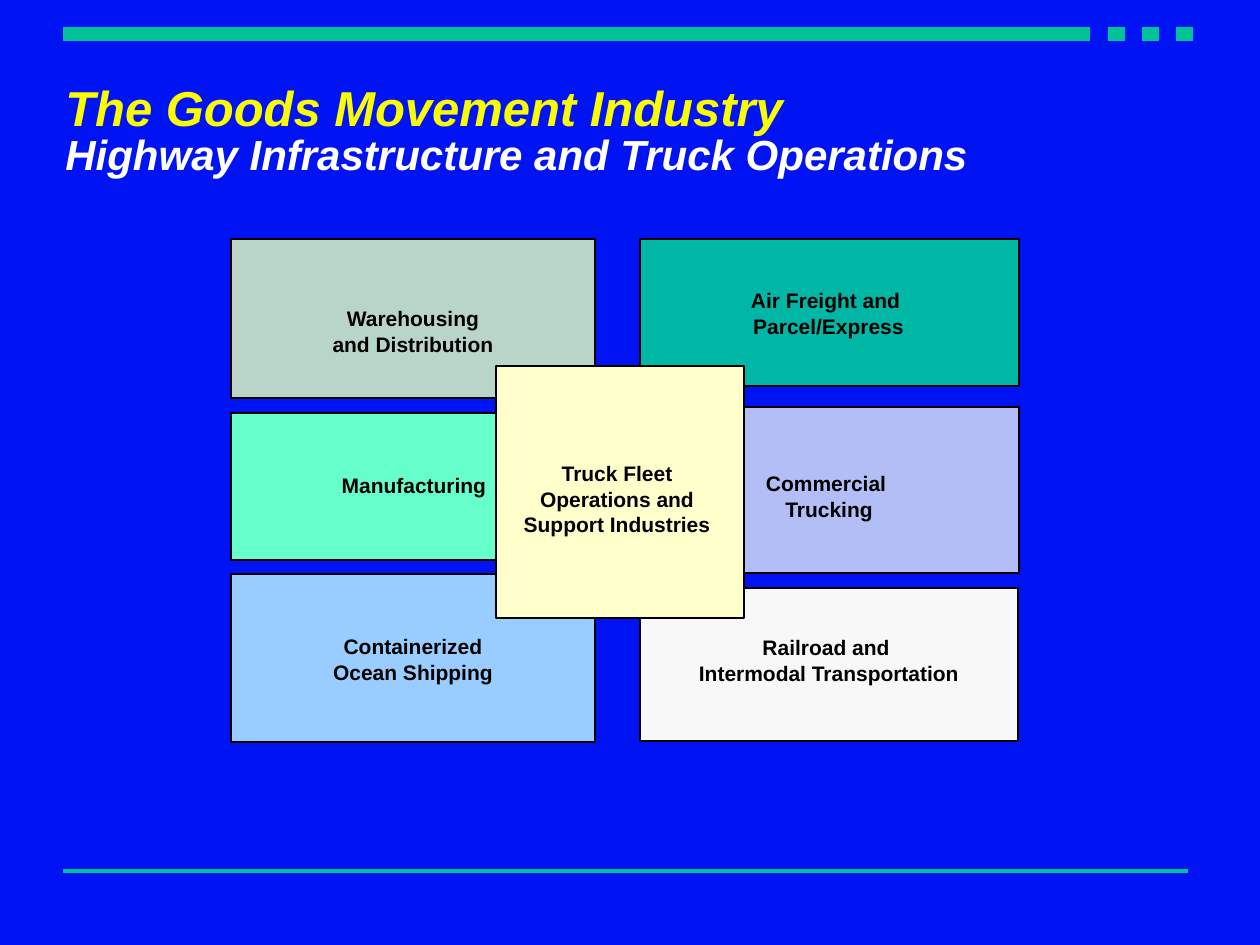
"""Build the goods movement industry slide."""
from dataclasses import dataclass

from pptx import Presentation
from pptx.dml.color import RGBColor
from pptx.enum.shapes import MSO_CONNECTOR, MSO_SHAPE
from pptx.enum.text import MSO_ANCHOR, MSO_AUTO_SIZE, PP_ALIGN
from pptx.oxml.xmlchemy import OxmlElement
from pptx.util import Emu, Pt

STRAIGHT = MSO_CONNECTOR.STRAIGHT
RECTANGLE = MSO_SHAPE.RECTANGLE
MIDDLE = MSO_ANCHOR.MIDDLE
FIT_SHAPE = MSO_AUTO_SIZE.SHAPE_TO_FIT_TEXT
CENTER = PP_ALIGN.CENTER
EMU_PER_PX = 914400 / 126
FONT = "Arial"
LINE_HEIGHT = 25
COLORS = {
    "background": "0014F3", "rule": "00C297", "title": "FAFD00",
    "subtitle": "FFFFFF", "ink": "000000", "mint": "66FFCC",
    "sage": "B9D5C9", "teal": "00B7A5", "sky": "99CCFF",
    "white": "F8F8F8", "lavender": "B3BEF7", "cream": "FFFFCC",
}


@dataclass
class Rule:
    x1: int
    x2: int
    y: int
    weight: int


@dataclass
class Sector:
    x: int
    y: int
    w: int
    h: int
    color: str
    label: str
    label_x: int
    label_y: int
    label_w: int


RULES = [Rule(x, x + 17, 34, 8) for x in range(1108, 1177, 34)] + [
    Rule(63, 1090, 34, 8),
    Rule(63, 1188, 871, 2),
]
SECTORS = [
    Sector(231, 413, 364, 147, "mint", "Manufacturing", 336, 473, 156),
    Sector(231, 239, 364, 159, "sage", "Warehousing\nand Distribution", 327, 306, 172),
    Sector(640, 239, 379, 147, "teal", "Air Freight and \nParcel/Express", 743, 288, 171),
    Sector(231, 574, 364, 168, "sky", "Containerized\nOcean Shipping", 327, 634, 172),
    Sector(640, 588, 378, 153, "white", "Railroad and \nIntermodal Transportation", 692, 635, 274),
    Sector(640, 407, 379, 166, "lavender", "Commercial \nTrucking", 758, 471, 142),
    Sector(496, 366, 248, 252, "cream",
           "Truck Fleet \nOperations and \nSupport Industries ", 514, 461, 212),
]


def px(n: float) -> Emu:
    """Convert pixels to EMU."""
    return Emu(round(n * EMU_PER_PX))


def rgb(name: str) -> RGBColor:
    """Look up a named colour."""
    return RGBColor.from_string(COLORS[name])


def draw_rule(s, rule: Rule) -> None:
    """Draw a horizontal rule without a shadow."""
    y = px(rule.y)
    line = s.shapes.add_connector(STRAIGHT, px(rule.x1), y, px(rule.x2), y)
    line.line.color.rgb = rgb("rule")
    line.line.width = Pt(rule.weight)
    line._element.spPr.append(OxmlElement("a:effectLst"))


def draw_title(s) -> None:
    """Draw the two-line heading."""
    tf = s.shapes.add_textbox(px(53), px(79), px(1144), px(108)).text_frame
    tf.word_wrap = True
    tf.vertical_anchor = MIDDLE
    p = tf.paragraphs[0]
    p.line_spacing = 0.85
    p.font.name, p.font.bold, p.font.italic = FONT, True, True
    r = p.add_run()
    r.text = "The Goods Movement Industry"
    r.font.size, r.font.color.rgb = Pt(28), rgb("title")
    p.add_line_break()
    r = p.add_run()
    r.text = "Highway Infrastructure and Truck Operations"
    r.font.size, r.font.color.rgb = Pt(24), rgb("subtitle")


def draw_sector(s, sector: Sector) -> None:
    """Draw a sector box and its label."""
    sp = s.shapes.add_shape(RECTANGLE, px(sector.x), px(sector.y),
                            px(sector.w), px(sector.h))
    sp.shadow.inherit = False
    sp.fill.solid()
    sp.fill.fore_color.rgb = rgb(sector.color)
    sp.line.color.rgb = rgb("ink")
    sp.line.width = Pt(0.75)

    height = LINE_HEIGHT * len(sector.label.split("\n"))
    tf = s.shapes.add_textbox(px(sector.label_x), px(sector.label_y),
                              px(sector.label_w), px(height)).text_frame
    tf.word_wrap = False
    tf.auto_size = FIT_SHAPE
    tf.margin_left = tf.margin_right = tf.margin_top = tf.margin_bottom = 0
    p = tf.paragraphs[0]
    p.text = sector.label
    p.alignment = CENTER
    p.font.name, p.font.size, p.font.bold = FONT, Pt(12), True
    p.font.color.rgb = rgb("ink")


def main() -> None:
    """Build and save the slide."""
    prs = Presentation()
    prs.slide_width, prs.slide_height = px(1260), px(945)
    s = prs.slides.add_slide(prs.slide_layouts[6])
    s.background.fill.solid()
    s.background.fill.fore_color.rgb = rgb("background")
    for rule in RULES:
        draw_rule(s, rule)
    draw_title(s)
    for sector in SECTORS:
        draw_sector(s, sector)
    prs.save("out.pptx")


if __name__ == "__main__":
    main()
